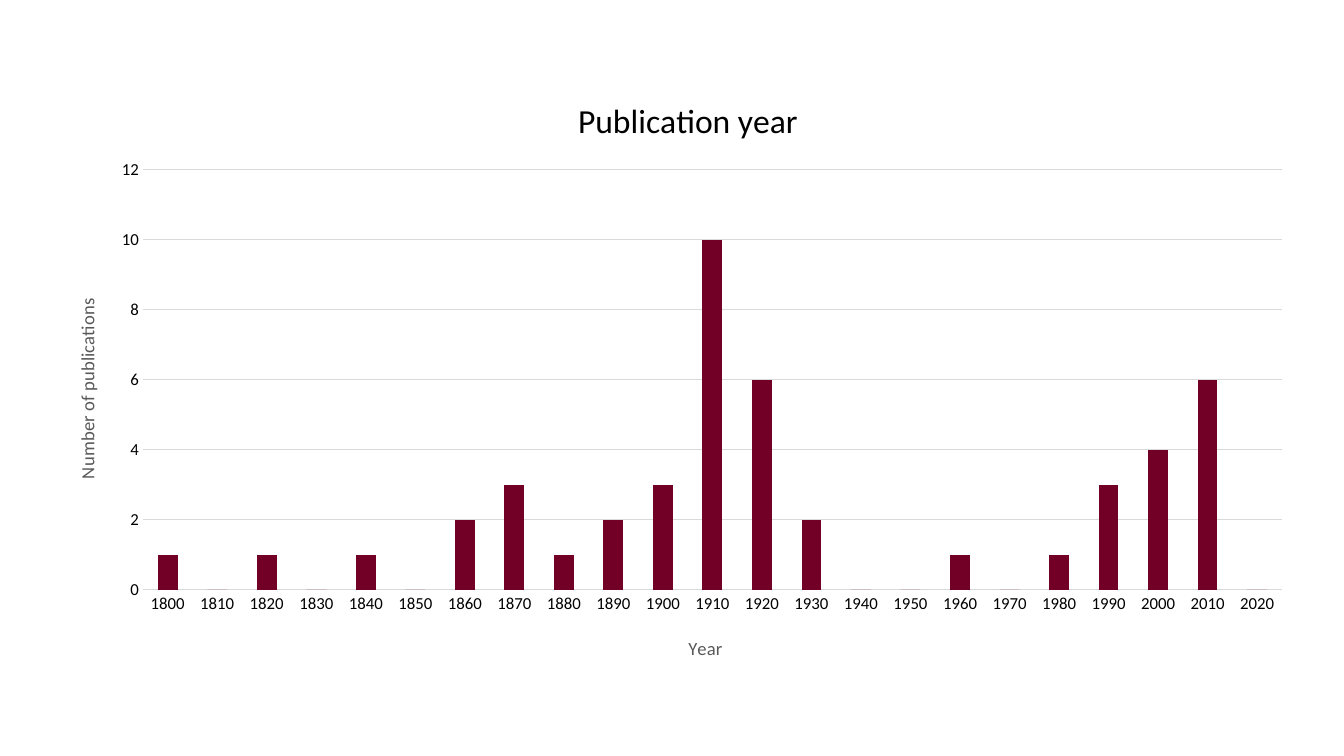
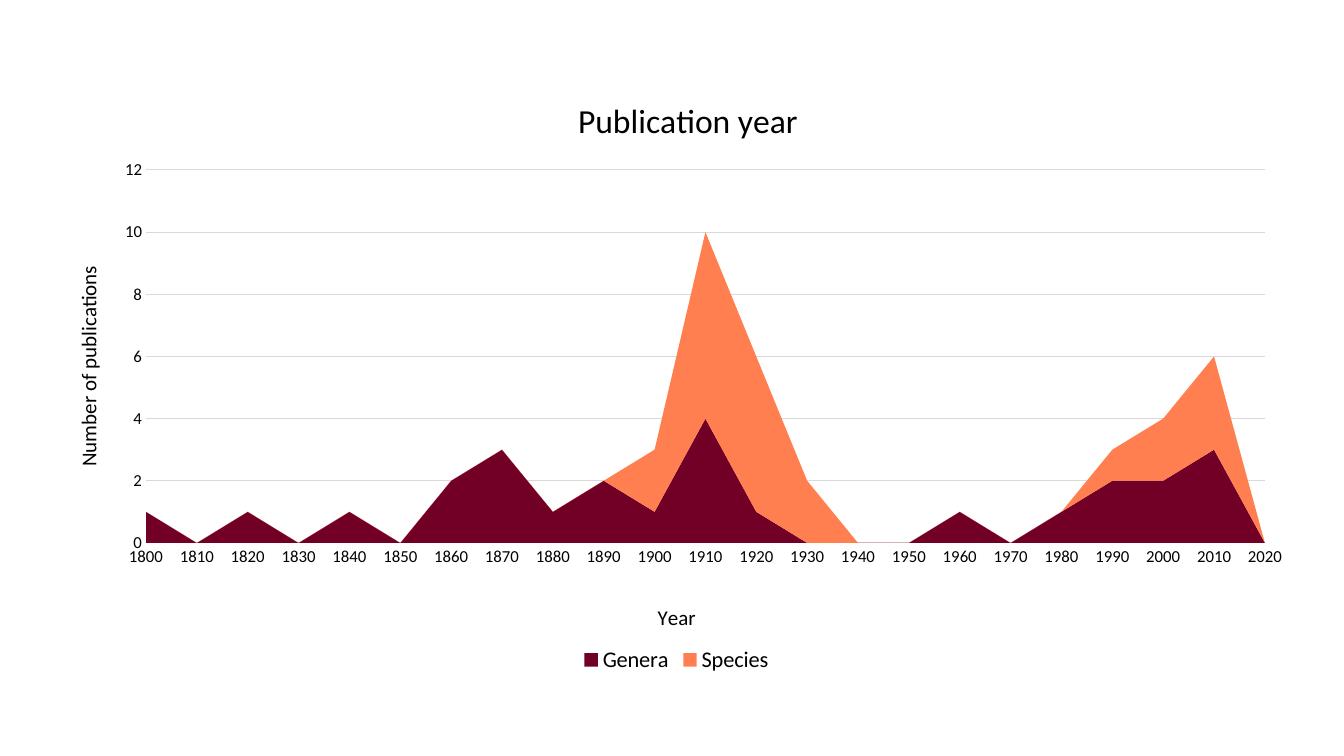
"""Build two slides that chart publications per decade, as columns and as stacked areas."""
from lxml import etree
from pptx import Presentation
from pptx.chart.data import CategoryChartData
from pptx.dml.color import RGBColor
from pptx.enum.chart import XL_CHART_TYPE, XL_LEGEND_POSITION, XL_TICK_MARK
from pptx.oxml.ns import qn
from pptx.util import Emu, Pt

COLUMNS, AREAS = XL_CHART_TYPE.COLUMN_STACKED, XL_CHART_TYPE.AREA_STACKED
BOTTOM = XL_LEGEND_POSITION.BOTTOM
NO_TICK = XL_TICK_MARK.NONE
SCALE = 914400 / 100.8
FONT = "Calibri"
BLACK, GREY, GRID, WINE, CORAL = "000000", "595959", "D9D9D9", "720026", "FF7F51"
LEFT, TOP, WIDTH, HEIGHT = 46, 80, 1261, 598
DECADES = [str(year) for year in range(1800, 2021, 10)]


def style_font(font, size, color):
    font.name = FONT
    font.size = Pt(size)
    font.bold = False
    font.color.rgb = RGBColor.from_string(color)


def set_layout(parent, index, left, top, width=None, height=None):
    for old in parent.findall(qn("c:layout")):
        parent.remove(old)
    layout = etree.Element(qn("c:layout"))
    manual = etree.SubElement(layout, qn("c:manualLayout"))
    settings = [("xMode", "edge"), ("yMode", "edge"),
                ("x", (left - LEFT) / WIDTH), ("y", (top - TOP) / HEIGHT)]
    if width:
        settings.insert(0, ("layoutTarget", "inner"))
        settings += [("w", width / WIDTH), ("h", height / HEIGHT)]
    for tag, value in settings:
        etree.SubElement(manual, qn("c:" + tag)).set("val", str(value))
    parent.insert(index, layout)


charts = [
    {"kind": COLUMNS, "plot": (143, 170, 1139, 420), "legend": False,
     "axis_title": (13.3, GREY), "year_at": (685, 632), "number_at": (71, 295),
     "series": [("Series 1", WINE, [1, 0, 1, 0, 1, 0, 2, 3, 1, 2, 3, 10,
                                    6, 2, 0, 0, 1, 0, 1, 3, 4, 6, 0])]},
    {"kind": AREAS, "plot": (146, 170, 1119, 373), "legend": True,
     "axis_title": (15, BLACK), "year_at": (654, 599), "number_at": (70, 262),
     "series": [("Genera", WINE, [1, 0, 1, 0, 1, 0, 2, 3, 1, 2, 1, 4,
                                  1, 0, 0, 0, 1, 0, 1, 2, 2, 3, 0]),
                ("Species", CORAL, [0, 0, 0, 0, 0, 0, 0, 0, 0, 0, 2, 6,
                                    5, 2, 0, 0, 0, 0, 0, 1, 2, 3, 0])]},
]

deck = Presentation()
deck.slide_width, deck.slide_height = Emu(round(1344 * SCALE)), Emu(round(756 * SCALE))

for entry in charts:
    page = deck.slides.add_slide(deck.slide_layouts[6])
    data = CategoryChartData(number_format="General")
    data.categories = DECADES
    for name, color, values in entry["series"]:
        data.add_series(name, values)
    frame = [Emu(round(length * SCALE)) for length in (LEFT, TOP, WIDTH, HEIGHT)]
    chart = page.shapes.add_chart(entry["kind"], *frame, data).chart
    style_font(chart.font, 10, BLACK)

    plot = chart.plots[0]
    plot.vary_by_categories = False
    if entry["kind"] == COLUMNS:
        plot.gap_width, plot.overlap = 150, 100
    for series, (name, color, values) in zip(plot.series, entry["series"]):
        series.format.fill.solid()
        series.format.fill.fore_color.rgb = RGBColor.from_string(color)
    set_layout(chart.element.find(".//" + qn("c:plotArea")), 0, *entry["plot"])

    years, numbers = chart.category_axis, chart.value_axis
    for axis in (years, numbers):
        axis.major_tick_mark = axis.minor_tick_mark = NO_TICK
        style_font(axis.tick_labels.font, 12, BLACK)
    numbers.minimum_scale, numbers.maximum_scale, numbers.major_unit = 0, 12, 2
    numbers.has_major_gridlines = True
    numbers.format.line.fill.background()
    for line in (years.format.line, numbers.major_gridlines.format.line):
        line.color.rgb = RGBColor.from_string(GRID)
        line.width = Pt(0.75)

    chart.has_title = True
    titles = [
        (chart.chart_title, "Publication year", (24, BLACK), (572, 92)),
        (years.axis_title, "Year", entry["axis_title"], entry["year_at"]),
        (numbers.axis_title, "Number of publications", entry["axis_title"], entry["number_at"]),
    ]
    for title, text, look, place in titles:
        title.text_frame.text = text
        style_font(title.text_frame.paragraphs[0].runs[0].font, *look)
        title_xml = title.format.element if hasattr(title.format, "element") else title.element
        set_layout(title_xml, 1, *place)
    title_xml.find(".//" + qn("a:bodyPr")).set("rot", "-5400000")

    chart.has_legend = entry["legend"]
    if entry["legend"]:
        chart.legend.position = BOTTOM
        chart.legend.include_in_layout = False
        style_font(chart.legend.font, 16, BLACK)

deck.save("out.pptx")
